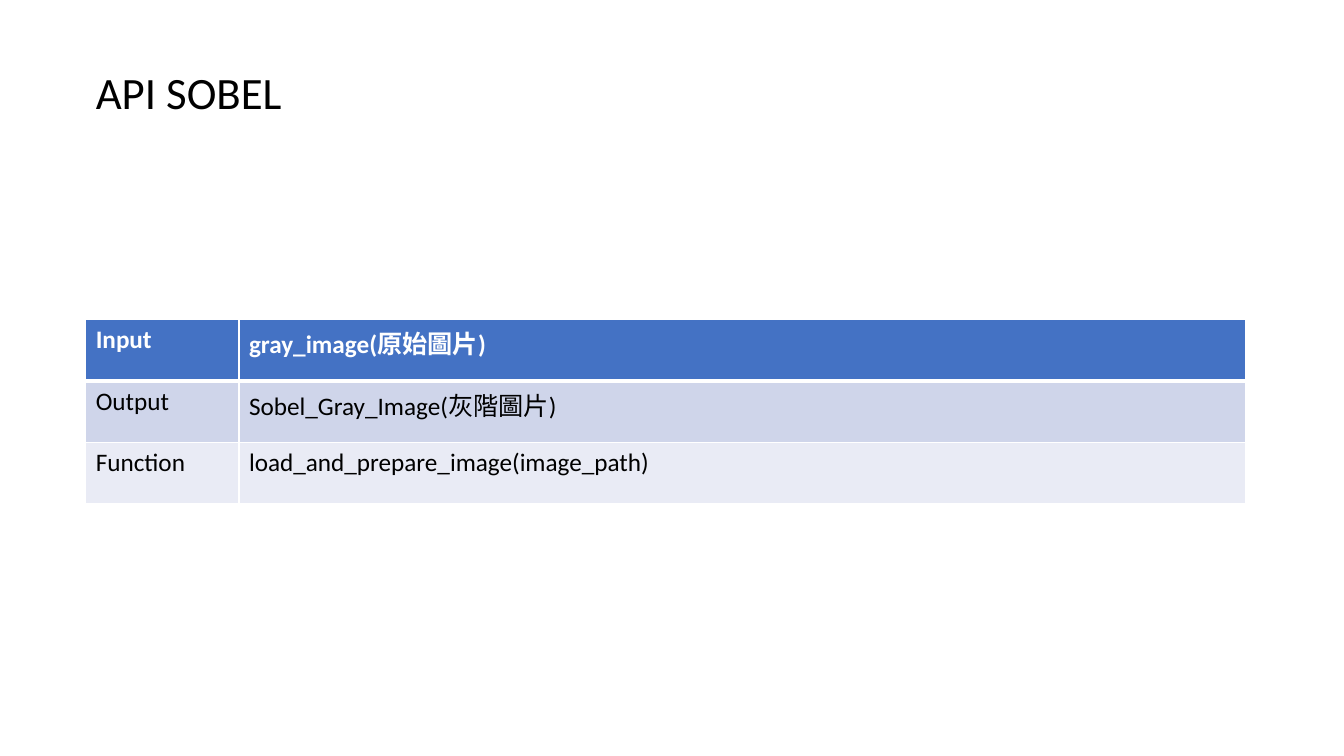
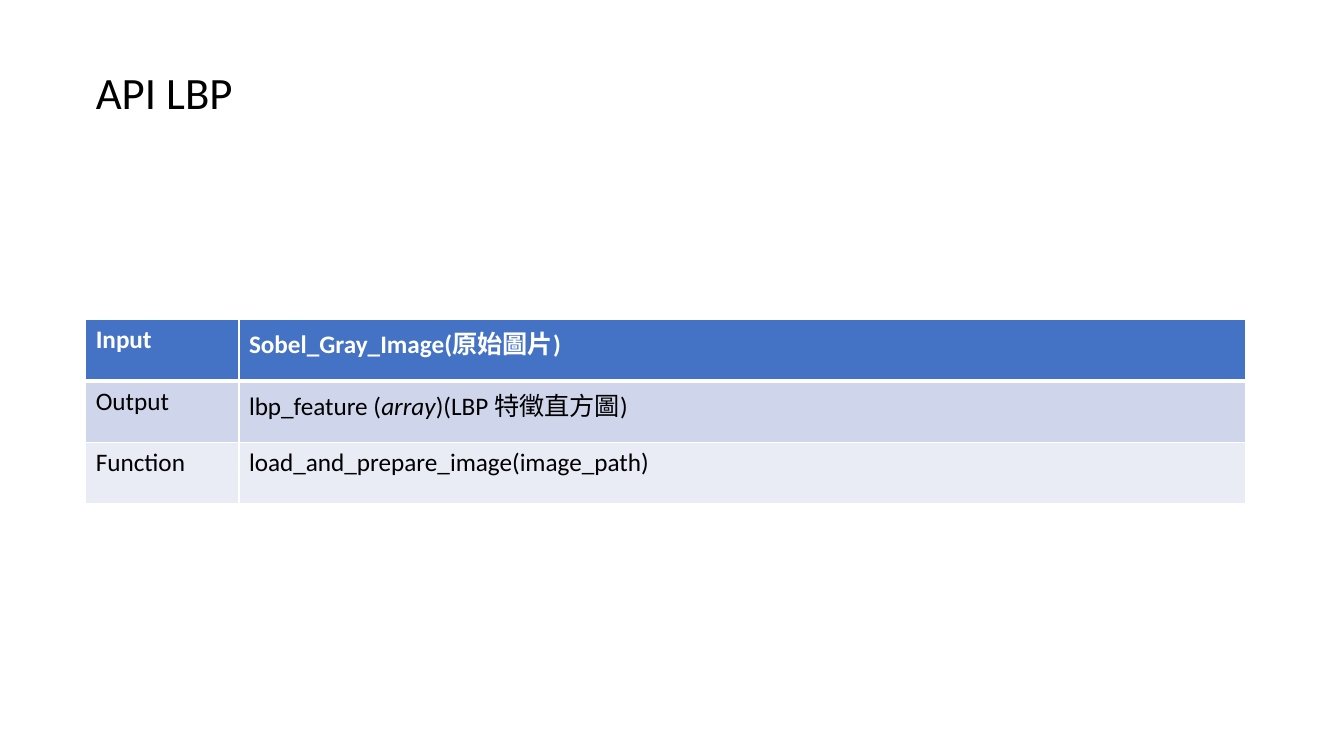
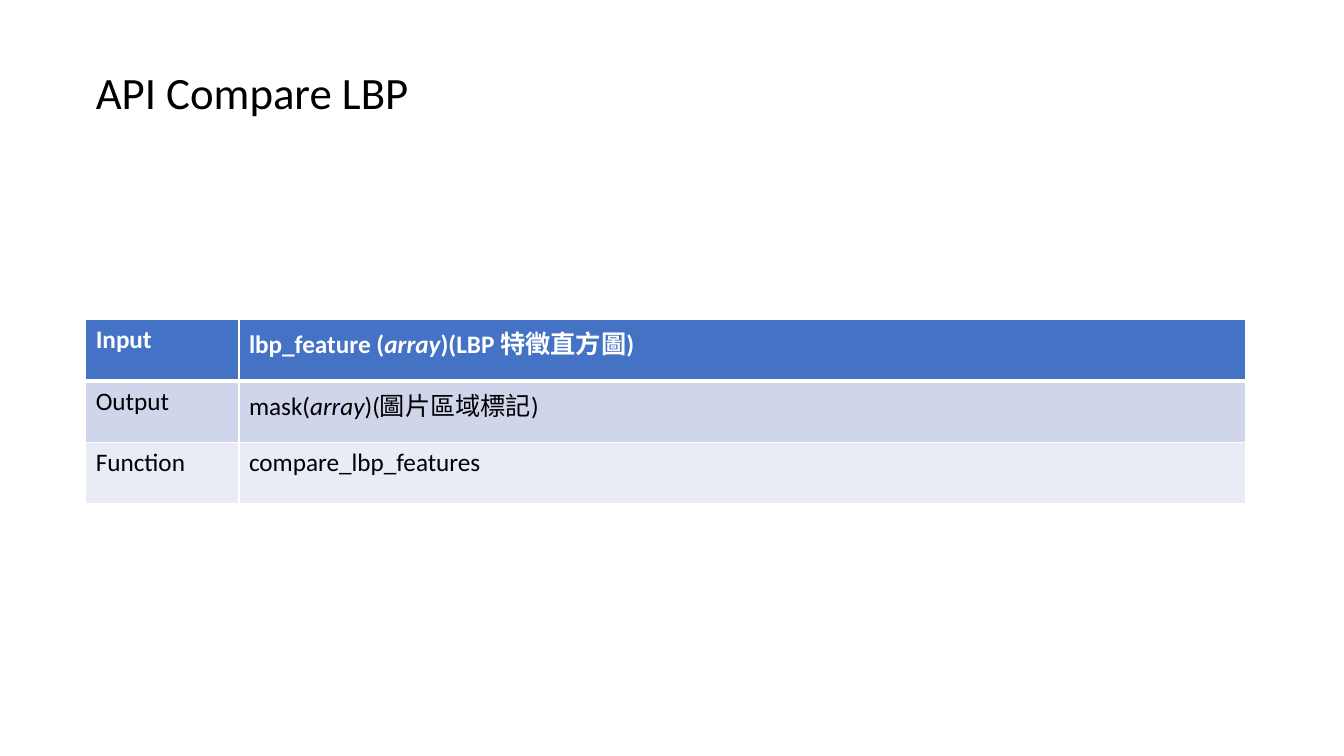
from lxml import etree
from pptx import Presentation
from pptx.dml.color import RGBColor
from pptx.enum import text as t
from pptx.oxml import ns
from pptx.util import Inches, Pt

# Content: text between asterisks is italic
ROW_LABELS = ["Input", "Output", "Function"]
SLIDES = [
    ("API SOBEL", ["gray_image(原始圖片)",
                   "Sobel_Gray_Image(灰階圖片)",
                   "load_and_prepare_image(image_path)"]),
    ("API LBP", ["Sobel_Gray_Image(原始圖片)",
                 "lbp_feature (*array*)(LBP 特徵直方圖)",
                 "load_and_prepare_image(image_path)"]),
    ("API Compare LBP", ["lbp_feature (*array*)(LBP 特徵直方圖)",
                         "mask(*array*)(圖片區域標記)",
                         "compare_lbp_features"]),
]

# Shared style
FONT = "Calibri"
BLACK = RGBColor(0x00, 0x00, 0x00)
WHITE = RGBColor(0xFF, 0xFF, 0xFF)
ROW_FILLS = [RGBColor(0x44, 0x72, 0xC4),
             RGBColor(0xCF, 0xD5, 0xEA),
             RGBColor(0xE9, 0xEB, 0xF5)]
LEFT, WIDTH = Inches(0.85), Inches(11.5)
TITLE_TOP, TITLE_HEIGHT = Inches(0.54), Inches(0.8)
TABLE_TOP, ROW_HEIGHT = Inches(3.17), Inches(0.61)
LABEL_WIDTH = Inches(1.52)
THIN, THICK = Pt(1), Pt(3)


def write(frame, content, size=18, color=BLACK, bold=False, spacing=None):
    paragraph = frame.paragraphs[0]
    paragraph.alignment = t.PP_ALIGN.LEFT
    paragraph.line_spacing = spacing
    for index, part in enumerate(content.split("*")):
        run = paragraph.add_run()
        run.text = part
        font = run.font
        font.name, font.size, font.bold = FONT, Pt(size), bold
        font.italic = index % 2 == 1
        font.color.rgb = color


def add_borders(cell, top, bottom):
    properties = cell._tc.get_or_add_tcPr()
    for side, width in (("L", THIN), ("R", THIN), ("T", top), ("B", bottom)):
        line = etree.SubElement(properties, ns.qn(f"a:ln{side}"), w=str(width))
        fill = etree.SubElement(line, ns.qn("a:solidFill"))
        etree.SubElement(fill, ns.qn("a:srgbClr"), val=str(WHITE))


def add_api_table(slide, values):
    rows = list(zip(ROW_LABELS, values))
    table = slide.shapes.add_table(len(rows), 2, LEFT, TABLE_TOP, WIDTH,
                                   ROW_HEIGHT * len(rows)).table
    table.columns[0].width = LABEL_WIDTH
    table.columns[1].width = WIDTH - LABEL_WIDTH
    for row, contents in enumerate(rows):
        header = row == 0
        for column, content in enumerate(contents):
            cell = table.cell(row, column)
            add_borders(cell, top=THICK if row == 1 else THIN,
                        bottom=THICK if header else THIN)
            cell.fill.solid()
            cell.fill.fore_color.rgb = ROW_FILLS[row]
            write(cell.text_frame, content, bold=header,
                  color=WHITE if header else BLACK)


def main():
    presentation = Presentation()
    presentation.slide_width, presentation.slide_height = Inches(13.33), Inches(7.5)

    # Title position, inherited by every slide
    layout = presentation.slide_layouts.get_by_name("Title Only")
    title = layout.placeholders[0]
    title.left, title.top = LEFT, TITLE_TOP
    title.width, title.height = WIDTH, TITLE_HEIGHT

    for heading, values in SLIDES:
        slide = presentation.slides.add_slide(layout)
        frame = slide.shapes.title.text_frame
        frame.auto_size = t.MSO_AUTO_SIZE.NONE
        frame.vertical_anchor = t.MSO_ANCHOR.MIDDLE
        write(frame, heading, size=32, spacing=0.9)
        add_api_table(slide, values)

    presentation.save("out.pptx")


if __name__ == "__main__":
    main()
